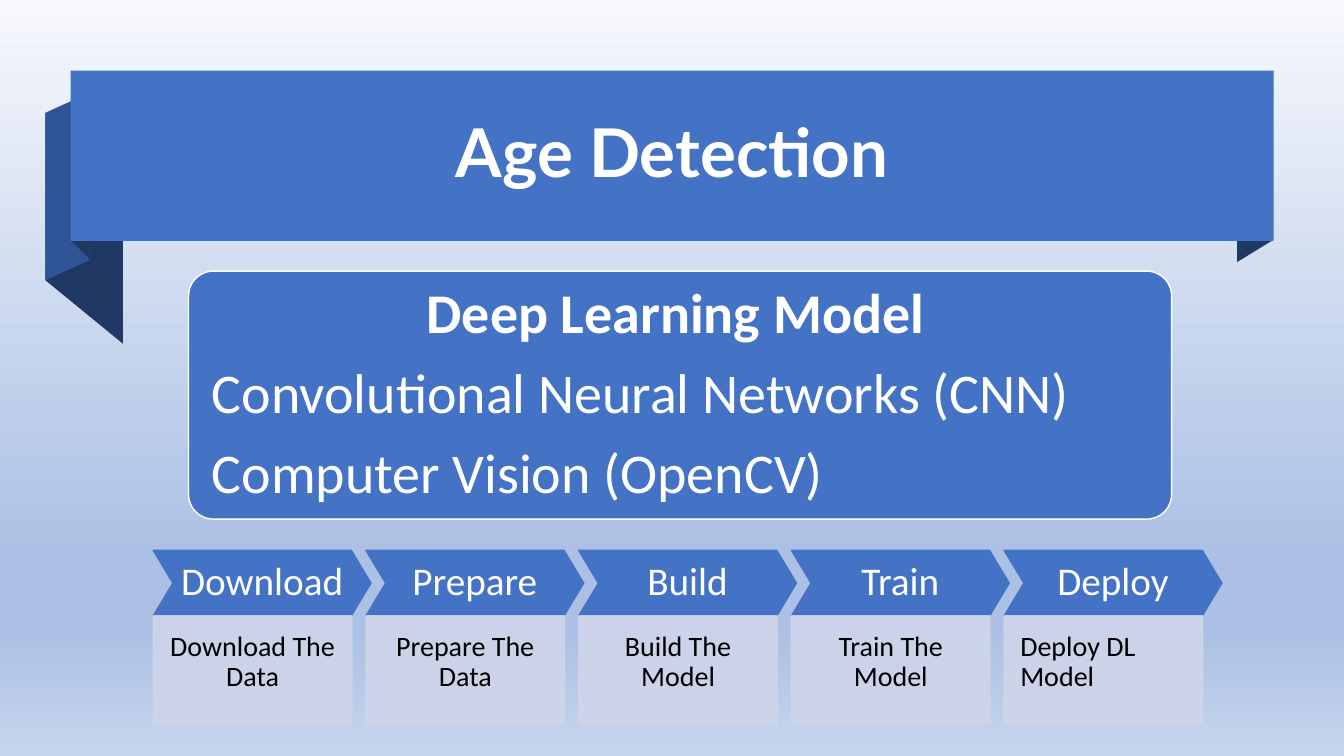
from dataclasses import dataclass

from lxml import etree
from pptx import Presentation
from pptx import util as u
from pptx.dml import color
from pptx.enum import shapes, text
from pptx.oxml import ns

COLORS = {
    "blue": "4472C4",
    "mid": "2F5597",
    "navy": "203864",
    "caption": "CFD5EA",
    "white": "FFFFFF",
    "black": "000000",
}
BACKGROUND_STOPS = {0: "F6F8FC", 74: "ABC0E4", 83: "ABC0E4", 100: "C7D5ED"}
LINE_SPACING = 0.9
SPACE_AFTER = 0.35
CENTER, LEFT = text.PP_ALIGN.CENTER, text.PP_ALIGN.LEFT
MIDDLE, TOP = text.MSO_ANCHOR.MIDDLE, text.MSO_ANCHOR.TOP


@dataclass
class Fold:
    color: str
    points: list[tuple[float, float]]


@dataclass
class Step:
    name: str
    caption: str
    align: text.PP_ALIGN = CENTER


@dataclass
class Line:
    words: str
    size: int
    color: str = "white"
    align: text.PP_ALIGN = CENTER
    bold: bool = False
    font: str = "Calibri"


FOLDS = [
    Fold("navy", [(1.22, 3.41), (0.45, 2.78), (0.45, 1.12), (1.22, 1.75)]),
    Fold("mid", [(0.89, 2.58), (0.45, 2.78), (0.45, 1.12), (0.89, 0.92)]),
    Fold("navy", [(0.89, 2.57), (0.71, 2.39), (0.71, 0.7), (0.89, 0.89)]),
    Fold("navy", [(12.63, 2.38), (12.27, 2.6), (12.27, 0.91), (12.63, 0.7)]),
]
STEPS = [
    Step("Download", "Download The Data"),
    Step("Prepare", "Prepare The Data"),
    Step("Build", "Build The Model"),
    Step("Train", "Train The Model"),
    Step("Deploy", "Deploy DL Model", LEFT),
]
MODEL_LINES = [
    Line("Deep Learning Model", 40, bold=True),
    Line("Convolutional Neural Networks (CNN)", 40, align=LEFT),
    Line("Computer Vision (OpenCV)", 40, align=LEFT),
]
STEP_LEFT, STEP_PITCH = 1.52, 2.11


def rgb(name: str) -> color.RGBColor:
    return color.RGBColor.from_string(COLORS[name])


def paint(shape, fill: str, line: str | None = None) -> None:
    shape.shadow.inherit = False
    shape.fill.solid()
    shape.fill.fore_color.rgb = rgb(fill)
    if line:
        shape.line.color.rgb = rgb(line)
        shape.line.width = u.Pt(1)
    else:
        shape.line.fill.background()


def add_box(slide, kind, box: tuple, fill: str, line: str | None = None):
    shape = slide.shapes.add_shape(kind, *map(u.Inches, box))
    paint(shape, fill, line)
    return shape


def write(shape, lines: list[Line], insets: tuple, anchor, space_after: float = SPACE_AFTER) -> None:
    """Fill a shape with lines; insets run left, top, right, bottom."""
    frame = shape.text_frame
    frame.word_wrap = True
    frame.auto_size = text.MSO_AUTO_SIZE.NONE
    frame.vertical_anchor = anchor
    (frame.margin_left, frame.margin_top,
     frame.margin_right, frame.margin_bottom) = map(u.Inches, insets)
    for index, line in enumerate(lines):
        paragraph = frame.add_paragraph() if index else frame.paragraphs[0]
        paragraph.alignment = line.align
        paragraph.line_spacing = LINE_SPACING
        paragraph.space_before = u.Pt(0)
        paragraph.space_after = u.Pt(line.size * space_after)
        run = paragraph.add_run()
        run.text = line.words
        run.font.name = line.font
        run.font.size = u.Pt(line.size)
        run.font.bold = line.bold
        run.font.color.rgb = rgb(line.color)


def set_opacity(shape, percent: int) -> None:
    for solid in shape.element.spPr.iter(ns.qn("a:srgbClr")):
        etree.SubElement(solid, ns.qn("a:alpha")).set("val", str(percent * 1000))


def paint_background(slide) -> None:
    fill = slide.background.fill
    fill.gradient()
    fill.gradient_angle = 270
    stops = next(slide.element.iter(ns.qn("a:gsLst")))
    for stop in list(stops):
        stops.remove(stop)
    for position, value in BACKGROUND_STOPS.items():
        stop = etree.SubElement(stops, ns.qn("a:gs"), pos=str(position * 1000))
        etree.SubElement(stop, ns.qn("a:srgbClr"), val=value)


def add_fold(slide, fold: Fold) -> None:
    start, *others = [(u.Inches(x), u.Inches(y)) for x, y in fold.points]
    builder = slide.shapes.build_freeform(*start)
    builder.add_line_segments(others, close=True)
    paint(builder.convert_to_shape(), fold.color)


def add_banner(slide) -> None:
    for fold in FOLDS:
        add_fold(slide, fold)
    bar = add_box(slide, shapes.MSO_SHAPE.RECTANGLE, (0.7, 0.7, 11.93, 1.69), "blue")
    title = slide.shapes.title
    title.left, title.top, title.width, title.height = map(u.Inches, (1.05, 0.88, 11.23, 1.33))
    bar.element.addnext(title.element)
    heading = Line("Age Detection", 48, bold=True, font="Lato")
    write(title, [heading], (0.1, 0.05, 0.1, 0.05), MIDDLE, space_after=0)


def add_step(slide, left: float, step: Step) -> None:
    chevron = add_box(slide, shapes.MSO_SHAPE.CHEVRON, (left, 5.46, 2.16, 0.65), "blue", "blue")
    chevron.adjustments[0] = 0.3
    write(chevron, [Line(step.name, 28)], (0.05, 0.08, 0.05, 0.08), MIDDLE)
    caption = add_box(slide, shapes.MSO_SHAPE.RECTANGLE, (left, 6.11, 1.97, 1.08),
                      "caption", "caption")
    set_opacity(caption, 90)
    write(caption, [Line(step.caption, 20, "black", step.align)], (0.16, 0.16, 0.16, 0.31), TOP)


def add_model_panel(slide) -> None:
    panel = add_box(slide, shapes.MSO_SHAPE.ROUNDED_RECTANGLE, (1.87, 2.69, 9.75, 2.46),
                    "blue", "white")
    panel.adjustments[0] = 0.1
    write(panel, MODEL_LINES, (0.16, 0, 0.25, 0), MIDDLE)


def main() -> None:
    presentation = Presentation()
    presentation.slide_width = u.Inches(13.33)
    presentation.slide_height = u.Inches(7.5)
    slide = presentation.slides.add_slide(presentation.slide_layouts.get_by_name("Title Only"))
    paint_background(slide)
    add_banner(slide)
    for index, step in enumerate(STEPS):
        add_step(slide, STEP_LEFT + index * STEP_PITCH, step)
    add_model_panel(slide)
    presentation.save("out.pptx")


if __name__ == "__main__":
    main()
